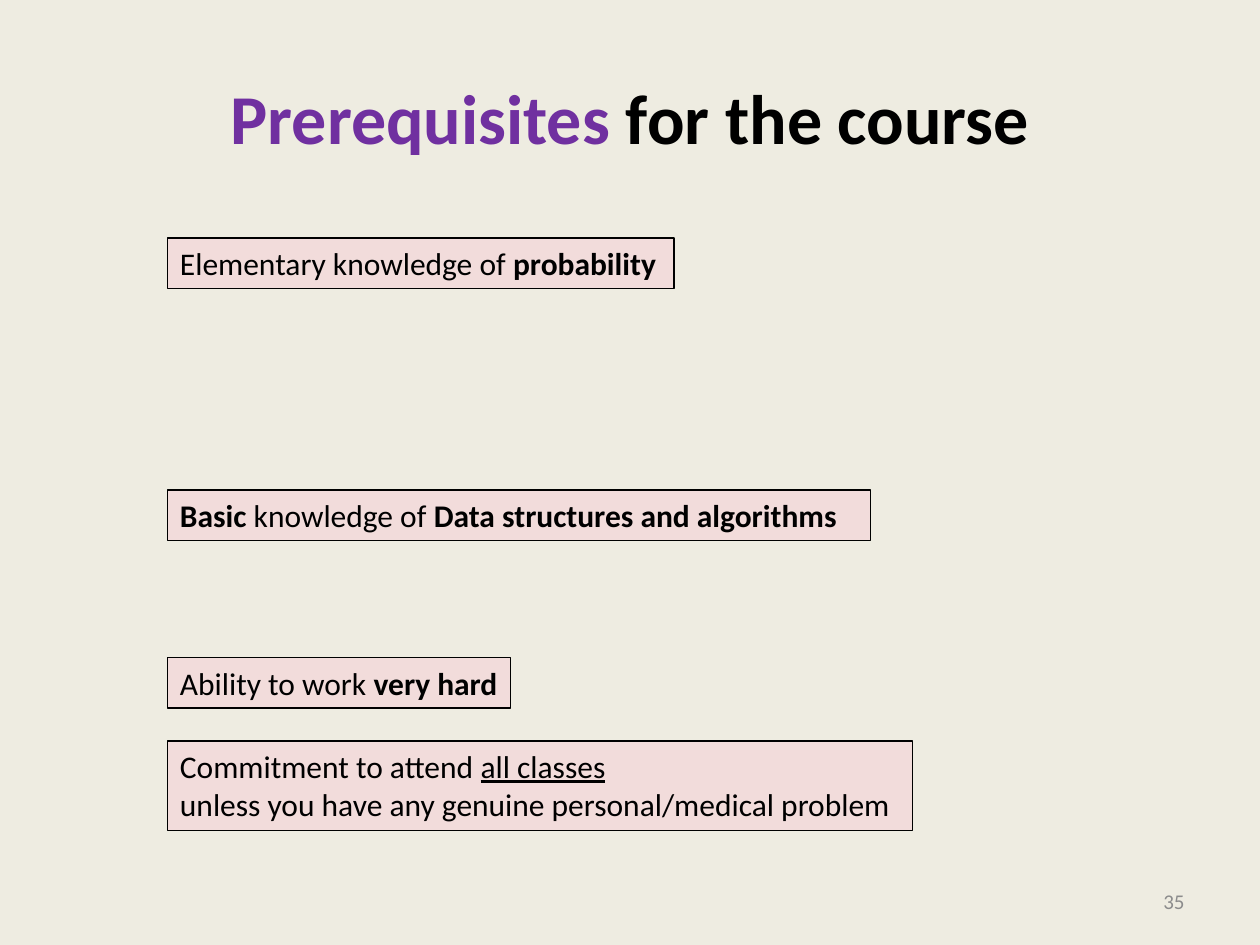
from pptx import Presentation
from pptx.dml.color import RGBColor as Rgb
from pptx.enum.shapes import MSO_SHAPE as Shape
from pptx.enum.text import MSO_ANCHOR as Anchor, PP_ALIGN as Align
from pptx.util import Inches, Pt

COLORS = {
    "back": "EEECE1",
    "box": "F2DCDB",
    "ink": "000000",
    "accent": "7030A0",
    "muted": "8C8C8C",
}
LEFT = 1.33
NEEDS = [
    (1.89, 4.02, 0.4, [[("Elementary knowledge of ", ""), ("probability", "b")]]),
    (3.89, 5.58, 0.4, [[("Basic", "b"), (" knowledge of ", ""),
                        ("Data structures and algorithms", "b")]]),
    (5.22, 2.72, 0.4, [[("Ability to work ", ""), ("very hard", "b")]]),
    (5.88, 5.91, 0.71, [[("Commitment to attend ", ""), ("all classes", "u")],
                        [("unless you have any genuine personal/medical problem", "")]]),
]


def color(name):
    return Rgb.from_string(COLORS[name])


def add_run(para, text, size, ink="ink", style=""):
    run = para.add_run()
    run.text = text
    font = run.font
    font.name = "Calibri"
    font.size = Pt(size)
    font.color.rgb = color(ink)
    font.bold = "b" in style
    font.underline = "u" in style


def add_label(slide, left, top, width, height, align, size, runs):
    box = slide.shapes.add_textbox(
        Inches(left), Inches(top), Inches(width), Inches(height))
    frame = box.text_frame
    frame.word_wrap = True
    frame.vertical_anchor = Anchor.MIDDLE
    para = frame.paragraphs[0]
    para.alignment = align
    for text, ink, style in runs:
        add_run(para, text, size, ink, style)


def add_need(slide, top, width, height, lines):
    box = slide.shapes.add_shape(
        Shape.RECTANGLE, Inches(LEFT), Inches(top), Inches(width), Inches(height))
    box.shadow.inherit = False
    box.fill.solid()
    box.fill.fore_color.rgb = color("box")
    box.line.color.rgb = color("ink")
    box.line.width = Pt(0.75)
    frame = box.text_frame
    frame.word_wrap = True
    frame.margin_right = 0
    frame.vertical_anchor = Anchor.TOP
    for index, runs in enumerate(lines):
        para = frame.add_paragraph() if index else frame.paragraphs[0]
        para.alignment = Align.LEFT
        for text, style in runs:
            add_run(para, text, 18, style=style)


def main():
    deck = Presentation()
    deck.slide_width, deck.slide_height = Inches(10), Inches(7.5)
    slide = deck.slides.add_slide(deck.slide_layouts[6])
    slide.background.fill.solid()
    slide.background.fill.fore_color.rgb = color("back")
    add_label(slide, 0.5, 0.3, 9, 1.25, Align.CENTER, 40,
              [("Prerequisites", "accent", "b"), (" for the course", "ink", "b")])
    add_label(slide, 7.17, 6.95, 2.33, 0.4, Align.RIGHT, 12, [("35", "muted", "")])
    for need in NEEDS:
        add_need(slide, *need)
    deck.save("out.pptx")


if __name__ == "__main__":
    main()
